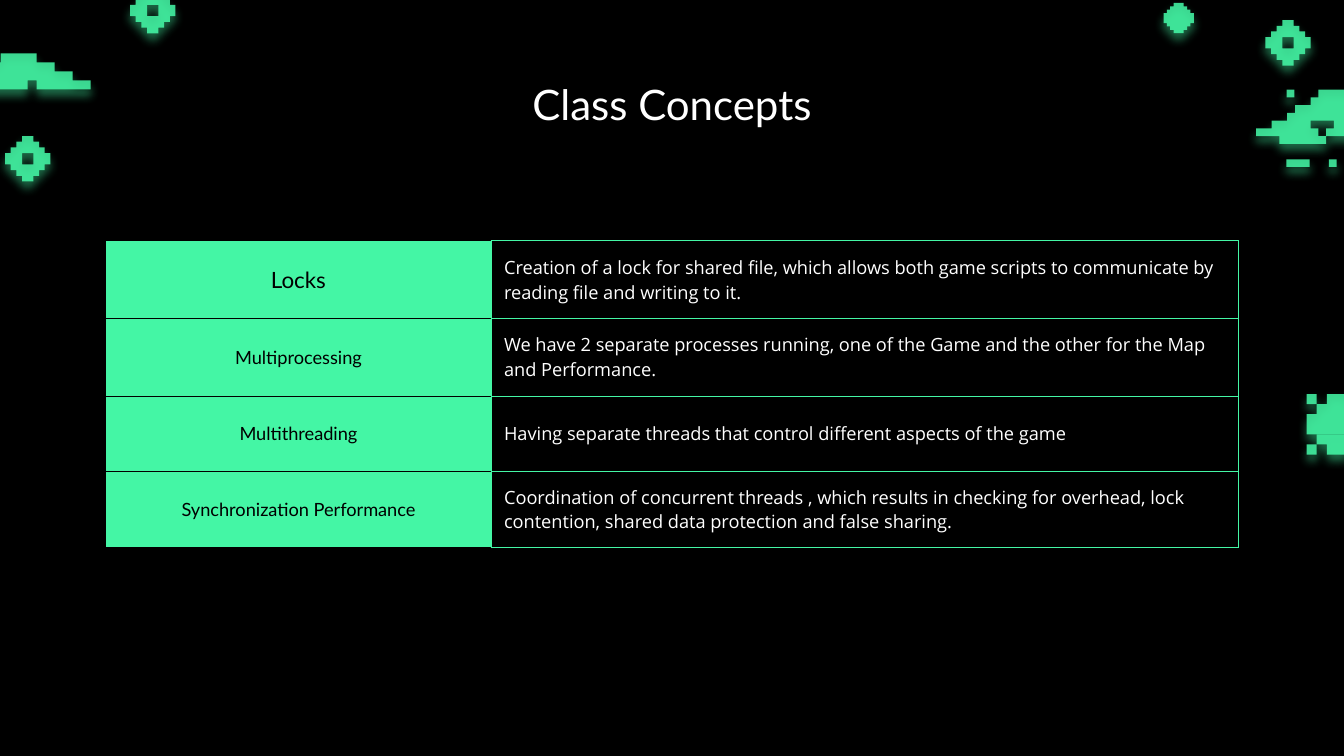
from lxml import etree
from pptx import Presentation
from pptx.dml.color import RGBColor
from pptx.enum.text import MSO_ANCHOR, MSO_AUTO_SIZE, PP_ALIGN
from pptx.oxml import parse_xml
from pptx.oxml.ns import nsdecls, qn
from pptx.util import Inches, Pt

CENTER, LEFT = PP_ALIGN.CENTER, PP_ALIGN.LEFT
TOP, MIDDLE = MSO_ANCHOR.TOP, MSO_ANCHOR.MIDDLE
NO_AUTOFIT = MSO_AUTO_SIZE.NONE
COLORS = {"black": "000000", "mint": "44F6A5", "white": "FFFFFF"}


def write(frame, text, size, font, color, align):
    paragraph = frame.paragraphs[0]
    paragraph.alignment = align
    run = paragraph.add_run()
    run.text = text
    formats = {"size": Pt(size), "name": font, "bold": False}
    for key, value in formats.items():
        setattr(run.font, key, value)
    run.font.color.rgb = RGBColor.from_string(COLORS[color])
    return paragraph


def gem(cells):
    corner = [(3, 0), (3, 1), (2, 1), (2, 2), (1, 2), (1, 3), (0, 3)]
    outline = []
    for turn in range(4):
        outline += corner
        corner = [(y, cells - x) for x, y in corner]
    return outline


prs = Presentation()
prs.slide_width, prs.slide_height = Inches(13.33), Inches(7.5)
slide = prs.slides.add_slide(prs.slide_layouts[5])
slide.background.fill.solid()
slide.background.fill.fore_color.rgb = RGBColor.from_string(COLORS["black"])

square = [(0, 0), (0, 1), (1, 1), (1, 0)]
dash = [(3 * x, y) for x, y in square]
ring_hole = [(5, 3), (5, 5), (3, 5), (3, 3)]
ring = [ring_hole, gem(8)]
left_cloud = [
    (4, 0), (4, 1), (3, 1), (3, 2), (2, 2), (2, 3), (0, 3), (0, 4), (7, 4), (7, 3),
    (8, 3), (8, 4), (14, 4), (14, 3), (12, 3), (12, 2), (10, 2), (10, 1), (8, 1), (8, 0),
]
right_cloud = [
    (8, 0), (8, 1), (7, 1), (7, 2), (5, 2), (5, 3), (4, 3), (4, 4), (2, 4),
    (2, 5), (0, 5), (0, 6), (3, 6), (3, 7), (9, 7), (9, 6), (8, 6), (8, 5),
    (7, 5), (7, 4), (10, 4), (10, 5), (9, 5), (9, 6), (23, 6), (23, 5), (21, 5),
    (21, 4), (18, 4), (18, 3), (16, 3), (16, 2), (14, 2), (14, 1), (12, 1), (12, 0),
]
dome = [
    (2, 0), (2, 1), (1, 1), (1, 2), (0, 2), (0, 4),
    (6, 4), (6, 2), (5, 2), (5, 1), (4, 1), (4, 0),
]
bowl = [(0, 0), (0, 1), (1, 1), (1, 2), (3, 2), (3, 1), (4, 1), (4, 0)]

ring_cell, cloud_cell, bit_cell = 0.45 / 8, 1.25 / 14, 1.77 / 23
pixel_art = [
    (1.29, -0.12, ring_cell, ring),
    (-0.35, 0.53, cloud_cell, [left_cloud]),
    (0.05, 1.35, ring_cell, ring),
    (12.96, 3.91, 0.1, [dome]),
    (13.06, 4.31, 0.1, [bowl]),
    (12.96, 3.91, 0.1, [square]),
    (12.96, 4.41, 0.1, [square]),
    (11.54, 0.03, 0.3 / 9, [gem(9)]),
    (12.46, 0.89, bit_cell, [right_cloud]),
    (13.18, 1.58, bit_cell, [square]),
    (12.76, 0.89, bit_cell, [square]),
    (12.76, 1.58, bit_cell, [dash]),
    (12.55, 0.2, ring_cell, ring),
]
for left, top, cell_size, outlines in pixel_art:
    builder = slide.shapes.build_freeform(*outlines[0][0], scale=Inches(cell_size))
    builder.add_line_segments(outlines[0][1:], close=True)
    for outline in outlines[1:]:
        builder.move_to(*outline[0])
        builder.add_line_segments(outline[1:], close=True)
    sprite = builder.convert_to_shape(Inches(left), Inches(top))
    sprite.fill.solid()
    sprite.fill.fore_color.rgb = RGBColor.from_string(COLORS["mint"])
    sprite.line.fill.background()
    sprite.shadow.inherit = False
    properties = sprite._element.spPr
    tint = properties.find(qn("a:solidFill"))[0]
    etree.SubElement(tint, qn("a:alpha"), val="87000")
    properties.find(qn("a:effectLst")).append(parse_xml(
        f'<a:outerShdw {nsdecls("a")} blurRad="{Pt(6.8)}" dist="{Pt(4.5)}" dir="5400000"'
        f' algn="bl" rotWithShape="0"><a:srgbClr val="{COLORS["mint"]}">'
        '<a:alpha val="50000"/></a:srgbClr></a:outerShdw>'))

heading = slide.shapes.title
heading_place = {"left": 1.05, "top": 0.65, "width": 11.23, "height": 0.84}
for key, value in heading_place.items():
    setattr(heading, key, Inches(value))
heading_frame = heading.text_frame
heading_formats = {"auto_size": NO_AUTOFIT, "vertical_anchor": TOP, "word_wrap": True}
heading_formats |= {f"margin_{side}": Inches(0.13) for side in ("left", "top", "right", "bottom")}
for key, value in heading_formats.items():
    setattr(heading_frame, key, value)
write(heading_frame, "Class Concepts", 30, "Lato", "white", CENTER)

concepts = [
    ("Locks", 16, 0.77, "Creation of a lock for shared file, which allows both game scripts "
     "to communicate by reading file and writing to it."),
    ("Multiprocessing", 13, 0.77, "We have 2 separate processes running, one of the Game "
     "and the other for the Map and Performance."),
    ("Multithreading", 13, 0.75, "Having separate threads that control different aspects of the game"),
    ("Synchronization Performance", 13, 0.75, "Coordination of concurrent threads , which results "
     "in checking for overhead, lock contention, shared data protection and false sharing."),
]
concept_table = slide.shapes.add_table(
    len(concepts), 2, Inches(1.05), Inches(2.39), Inches(11.23), Inches(3.04)).table
concept_table.first_row = concept_table.horz_banding = False
for column, width in zip(concept_table.columns, (3.82, 7.41)):
    column.width = Inches(width)

cell_formats = {
    "vertical_anchor": MIDDLE, "margin_left": Inches(0.13), "margin_right": Inches(0.13),
    "margin_top": 0, "margin_bottom": 0,
}
label_borders = {"lnL": "black", "lnR": "mint", "lnT": "black", "lnB": "black"}
detail_borders = dict.fromkeys(label_borders, "mint")
for row, (label, label_size, height, detail) in enumerate(concepts):
    concept_table.rows[row].height = Inches(height)
    label_cell, detail_cell = concept_table.cell(row, 0), concept_table.cell(row, 1)
    for cell, borders in ((label_cell, label_borders), (detail_cell, detail_borders)):
        for key, value in cell_formats.items():
            setattr(cell, key, value)
        cell_properties = cell._tc.get_or_add_tcPr()
        for edge, color in borders.items():
            cell_properties.append(parse_xml(
                f'<a:{edge} {nsdecls("a")} w="{Pt(0.75)}"><a:solidFill>'
                f'<a:srgbClr val="{COLORS[color]}"/></a:solidFill></a:{edge}>'))
    label_cell.fill.solid()
    label_cell.fill.fore_color.rgb = RGBColor.from_string(COLORS["mint"])
    detail_cell.fill.background()
    write(label_cell.text_frame, label, label_size, "Lato", "black", CENTER)
    detail_line = write(detail_cell.text_frame, detail, 13, "Open Sans", "white", LEFT)
    detail_line.space_after = Pt(16)

prs.save("out.pptx")
